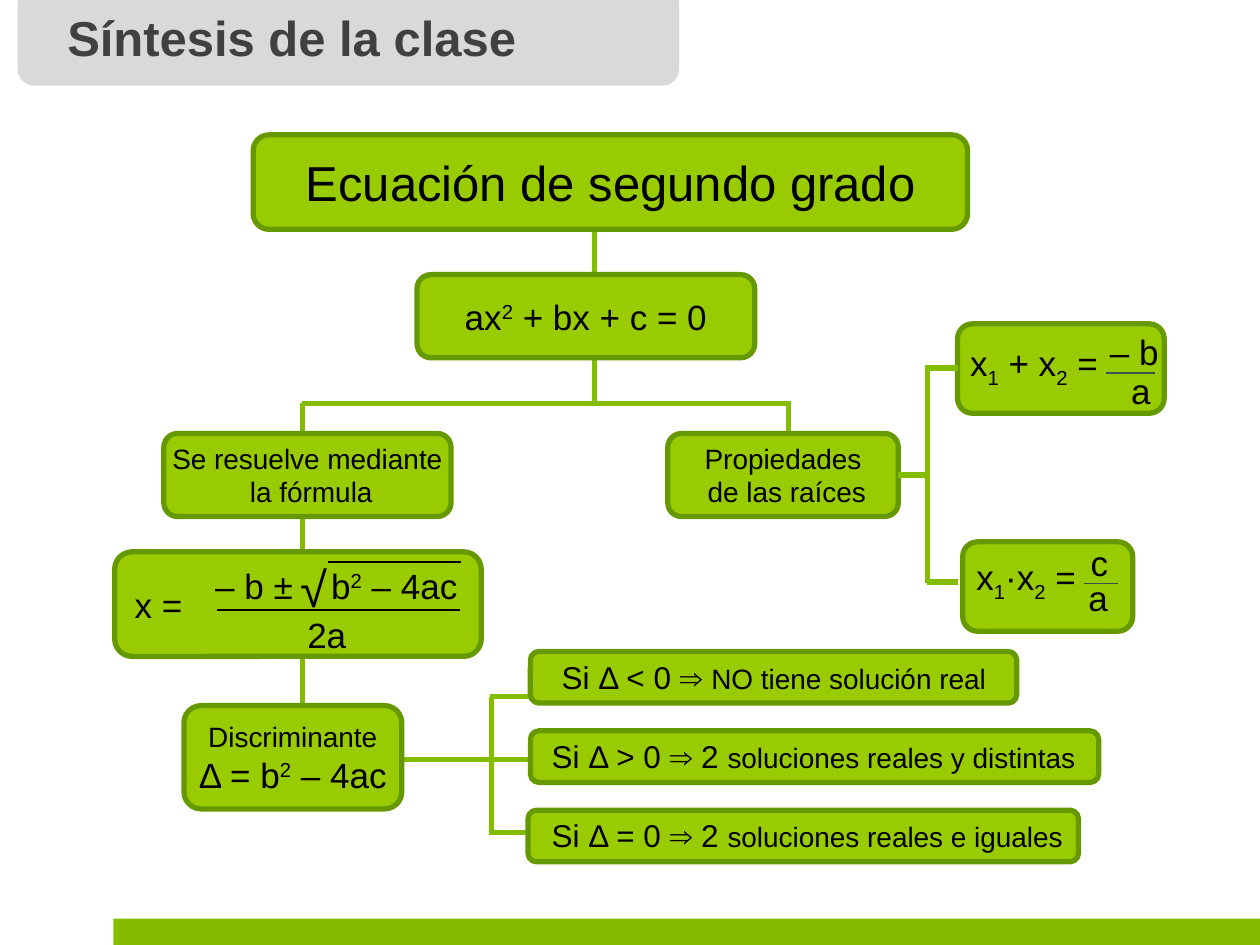
from lxml import etree
from pptx import Presentation
from pptx import util as u
from pptx.dml.color import RGBColor
from pptx.enum import shapes, text
from pptx.oxml import ns

COLUMNS, ROWS = 100, 75
SLIDE_WIDTH, SLIDE_HEIGHT = u.Inches(10), u.Inches(7.5)
COLORS = {
    "branch": "84BD00",
    "node": "99CC00",
    "border": "669900",
    "header": "D9D9D9",
    "title": "404040",
    "ink": "000000",
    "fraction": "3F4F4C",
}
SUPER, SUB = 30000, -25000
SQUARED = ("2", {"script": SUPER})


def color(name):
    return RGBColor.from_string(COLORS[name])


def col(count):
    return round(SLIDE_WIDTH * count / COLUMNS)


def row(count):
    return round(SLIDE_HEIGHT * count / ROWS)


def area(left, top, width, height):
    return col(left), row(top), col(width), row(height)


def write(frame, paragraphs, size, align, ink="ink", bold=False):
    """Each paragraph is a list of runs: a string, or (string, {size, script})."""
    for index, runs in enumerate(paragraphs):
        paragraph = frame.add_paragraph() if index else frame.paragraphs[0]
        paragraph.alignment = align
        for item in runs:
            words, style = (item, {}) if isinstance(item, str) else item
            run = paragraph.add_run()
            run.text = words
            run.font.name = "Arial"
            run.font.size = u.Pt(style.get("size", size))
            run.font.bold = bold
            run.font.color.rgb = color(ink)
            if "script" in style:
                run.font._element.set("baseline", str(style["script"]))


def panel(slide, kind, place, fill):
    shape = slide.shapes.add_shape(kind, *area(*place))
    shape.shadow.inherit = False
    shape.fill.solid()
    shape.fill.fore_color.rgb = color(fill)
    shape.line.fill.background()
    return shape


def node(slide, place, paragraphs=(), size=16):
    box = panel(slide, shapes.MSO_SHAPE.FLOWCHART_ALTERNATE_PROCESS, place, "node")
    box.line.color.rgb = color("border")
    box.line.width = u.Pt(3)
    box.text_frame.word_wrap = False
    box.text_frame.vertical_anchor = text.MSO_ANCHOR.MIDDLE
    write(box.text_frame, paragraphs, size, text.PP_ALIGN.CENTER)


def label(slide, place, runs, size=20, wrap=False, align=text.PP_ALIGN.LEFT, **style):
    frame = slide.shapes.add_textbox(*area(*place)).text_frame
    frame.word_wrap = wrap
    frame.auto_size = text.MSO_AUTO_SIZE.SHAPE_TO_FIT_TEXT
    write(frame, [runs], size, align, **style)
    return frame


def rule(slide, x1, y1, x2, y2, ink="branch", width=3):
    line = slide.shapes.add_connector(
        shapes.MSO_CONNECTOR.STRAIGHT, col(x1), row(y1), col(x2), row(y2))
    line.line.color.rgb = color(ink)
    line.line.width = u.Pt(width)
    etree.SubElement(line._element.spPr, ns.qn("a:effectLst"))


def add_tab_stop(paragraph, position):
    stops = etree.SubElement(paragraph._p.get_or_add_pPr(), ns.qn("a:tabLst"))
    etree.SubElement(stops, ns.qn("a:tab"), pos=str(position), algn="l")


def frame_slide(slide):
    panel(slide, shapes.MSO_SHAPE.RECTANGLE, (9, 72.9, 91, 2.1), "branch")
    panel(slide, shapes.MSO_SHAPE.ROUNDED_RECTANGLE, (1.4, -1.1, 52.5, 7.9), "header")
    label(slide, (4.3, 0.1, 37.7, 5.7), ["Síntesis de la clase"], 28,
          align=text.PP_ALIGN.CENTER, ink="title", bold=True)


def concept_tree(slide):
    fork = 32
    rule(slide, 47.2, 17.8, 47.2, fork)
    rule(slide, 24, fork, 62.8, fork)
    rule(slide, 24, fork, 24, 56)
    rule(slide, 62.6, fork, 62.6, 37.5)
    node(slide, (20.1, 10.7, 56.7, 7.5), [["Ecuación de segundo grado"]], 28)
    node(slide, (33.1, 21.8, 26.8, 6.6), [["ax", SQUARED, " + bx + c = 0"]], 20)
    node(slide, (13, 34.4, 22.8, 6.6), [["Se resuelve mediante"], [" la fórmula"]])
    node(slide, (53, 34.4, 18.3, 6.6), [["Propiedades"], [" de las raíces"]])


def quadratic_formula(slide):
    node(slide, (9.1, 43.8, 29.1, 8.3))
    numerator = label(slide, (16.1, 44.3, 24.3, 4.4),
                      ["– b ±\tb", SQUARED, " – 4ac"], wrap=True)
    add_tab_stop(numerator.paragraphs[0], col(9.2))
    rule(slide, 17.2, 48.4, 36.5, 48.4, "ink", 1)
    label(slide, (23.4, 48.2, 5.1, 4.4), ["2a"])
    label(slide, (9.7, 45.8, 5.8, 4.4), ["x ="])
    label(slide, (22.9, 43.8, 4.2, 5.7), ["√"], 28)
    rule(slide, 26, 44.6, 36.6, 44.6, "ink", 0.75)


def root_property(slide, box, equation, operator, numerator, bar, denominator):
    """The last three parts are a (text, place) pair, the bar's ends, and a pair."""
    node(slide, box)
    label(slide, equation, ["x", ("1", {"script": SUB}), operator + "x",
                            ("2", {"script": SUB}), " ="])
    label(slide, numerator[1], [numerator[0]], wrap=True)
    rule(slide, *bar, "fraction", 1)
    label(slide, denominator[1], [denominator[0]])


def root_properties(slide):
    root_property(slide, (76, 25.7, 16.4, 7.1), (76, 26.6, 12.2, 4.4), " + ",
                  ("– b", (87.1, 25.7, 6.2, 4.4)), (87.8, 29.6, 91.7, 29.6),
                  ("a", (88.8, 28.8, 3.6, 4.4)))
    root_property(slide, (76.4, 43, 13.5, 7.1), (76.5, 43.6, 10.2, 4.4), "·",
                  (" c", (84.8, 42.5, 6.2, 4.4)), (86, 46.3, 88.7, 46.3),
                  ("a", (85.4, 45.3, 3.6, 4.4)))
    stem = 73.6
    rule(slide, 71.3, 37.7, stem, 37.7)
    rule(slide, stem, 29, stem, 46.3)
    for branch in (29.2, 46.2):
        rule(slide, stem, branch, 76, branch)


def discriminant_cases(slide):
    stem, first_row, step = 39, 51.7, 6.3
    rule(slide, 31.9, 60.3, 42.1, 60.3)
    rule(slide, stem, 55.3, stem, 66.3)
    for branch in (55.3, 66.1):
        rule(slide, stem - 0.1, branch, 42.3, branch)
    node(slide, (14.6, 56, 17.3, 8.2),
         [["Discriminante"],
          [("Δ = b", {"size": 20}), ("2", {"size": 20, "script": SUPER}),
           (" – 4ac", {"size": 20})]])
    cases = [
        (42.1, 38.6, 42.9, " Si Δ < 0 ⇒ ", "NO tiene solución real"),
        (42.1, 45.1, 42.1, " Si Δ > 0 ⇒ 2 ", "soluciones reales y distintas"),
        (41.9, 43.7, 42.1, " Si Δ = 0 ⇒ 2 ", "soluciones reales e iguales"),
    ]
    for index, (left, width, text_left, condition, outcome) in enumerate(cases):
        top = first_row + index * step
        node(slide, (left, top, width, 4.1))
        label(slide, (text_left, top, 46.5, 4),
              [condition, (outcome, {"size": 16})], 18, wrap=True)


def main():
    deck = Presentation()
    deck.slide_width, deck.slide_height = SLIDE_WIDTH, SLIDE_HEIGHT
    slide = deck.slides.add_slide(deck.slide_layouts[6])
    frame_slide(slide)
    concept_tree(slide)
    quadratic_formula(slide)
    root_properties(slide)
    discriminant_cases(slide)
    deck.save("out.pptx")


if __name__ == "__main__":
    main()
